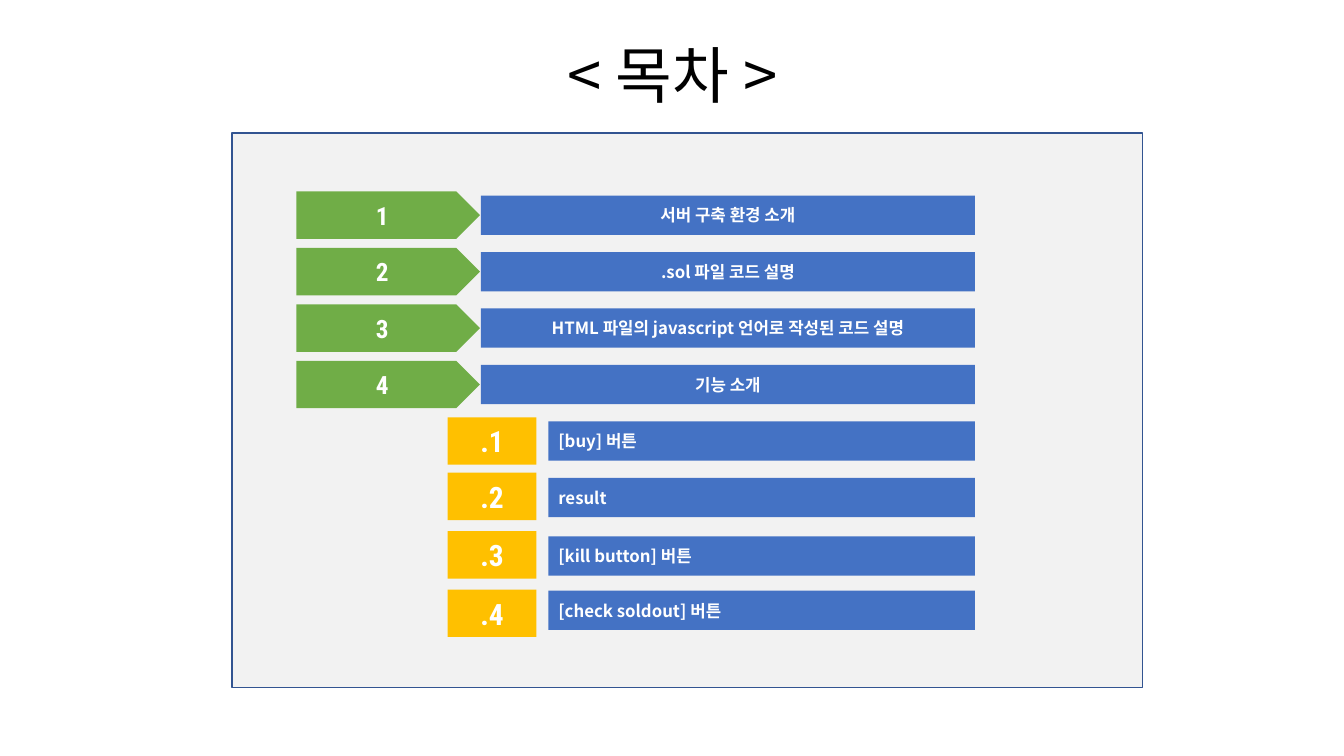
from dataclasses import dataclass

from lxml.etree import SubElement
from pptx import Presentation
from pptx.dml.color import RGBColor as RGB
from pptx.enum.shapes import MSO_SHAPE as SHAPE
from pptx.enum.text import MSO_ANCHOR as ANCHOR, MSO_AUTO_SIZE as AUTO, PP_ALIGN as ALIGN
from pptx.oxml.ns import qn
from pptx.util import Emu, Pt


@dataclass(frozen=True)
class Theme:
    panel: str = "F2F2F2"
    border: str = "325491"
    bar: str = "4472C4"
    chapter: str = "70AD47"
    section: str = "FFC000"
    light: str = "FFFFFF"
    dark: str = "000000"
    korean: str = "Noto Sans CJK KR"
    digits: str = "Roboto Condensed"
    title_size: int = 44
    chapter_size: int = 18
    section_size: int = 21
    bar_size: int = 12


THEME = Theme()
PX = 9144
BADGE_H, BAR_H = 47, 39
CHAPTER_TOP, CHAPTER_STEP = 190, 56
CHAPTERS = [
    "서버 구축 환경 소개",
    ".sol 파일 코드 설명",
    "HTML 파일의 javascript 언어로 작성된 코드 설명",
    "기능 소개",
]
SECTIONS = [
    ("[buy] 버튼", 414, 418),
    ("result", 469, 474),
    ("[kill button] 버튼", 527, 532),
    ("[check soldout] 버튼", 585, 586),
]


def px(n):
    return Emu(n * PX)


def write(s, text, *, size, font=THEME.korean, color=THEME.light, bold=True,
          align=ALIGN.CENTER, spacing=None, inset=10):
    tf = s.text_frame
    tf.word_wrap = True
    tf.auto_size = AUTO.NONE
    tf.vertical_anchor = ANCHOR.MIDDLE
    tf.margin_left = tf.margin_right = px(10)
    tf.margin_top = tf.margin_bottom = px(inset)
    p = tf.paragraphs[0]
    p.alignment = align
    p.line_spacing = spacing
    r = p.add_run()
    r.text = text
    r.font.size = Pt(size)
    r.font.bold = bold
    r.font.name = font
    r.font.color.rgb = RGB.from_string(color)
    SubElement(r.font._element, qn("a:ea"), typeface=THEME.korean)


def add_block(shapes, kind, box, fill, line=None):
    s = shapes.add_shape(kind, *map(px, box))
    s.shadow.inherit = False
    s.fill.solid()
    s.fill.fore_color.rgb = RGB.from_string(fill)
    if line:
        s.line.color.rgb = RGB.from_string(line)
        s.line.width = Pt(1)
    else:
        s.line.fill.background()
    return s


def add_title(slide, text):
    s = slide.shapes.title
    s.left, s.top, s.width, s.height = map(px, (92, 40, 1150, 76))
    write(s, text, size=THEME.title_size, color=THEME.dark, bold=False,
          spacing=0.9, inset=5)


def add_chapter(slide, number, text):
    top = CHAPTER_TOP + (number - 1) * CHAPTER_STEP
    shapes = slide.shapes.add_group_shape().shapes
    badge = add_block(shapes, SHAPE.PENTAGON, (294, top, 182, BADGE_H), THEME.chapter)
    write(badge, str(number), size=THEME.chapter_size, font=THEME.digits)
    bar = add_block(shapes, SHAPE.RECTANGLE, (477, top + 4, 490, BAR_H), THEME.bar)
    write(bar, text, size=THEME.bar_size)


def add_section(slide, number, text, badge_top, bar_top):
    shapes = slide.shapes.add_group_shape().shapes
    badge = add_block(shapes, SHAPE.RECTANGLE, (444, badge_top, 88, BADGE_H), THEME.section)
    write(badge, f".{number}", size=THEME.section_size, font=THEME.digits)
    bar = add_block(shapes, SHAPE.RECTANGLE, (544, bar_top, 423, BAR_H), THEME.bar)
    write(bar, text, size=THEME.bar_size, align=ALIGN.LEFT)


def main():
    prs = Presentation()
    prs.slide_width, prs.slide_height = px(1333), px(750)
    slide = prs.slides.add_slide(prs.slide_layouts[5])
    add_title(slide, "< 목차 >")
    add_block(slide.shapes, SHAPE.RECTANGLE, (230, 132, 903, 550), THEME.panel, THEME.border)
    for number, text in enumerate(CHAPTERS, 1):
        add_chapter(slide, number, text)
    for number, section in enumerate(SECTIONS, 1):
        add_section(slide, number, *section)
    prs.save("out.pptx")


if __name__ == "__main__":
    main()
